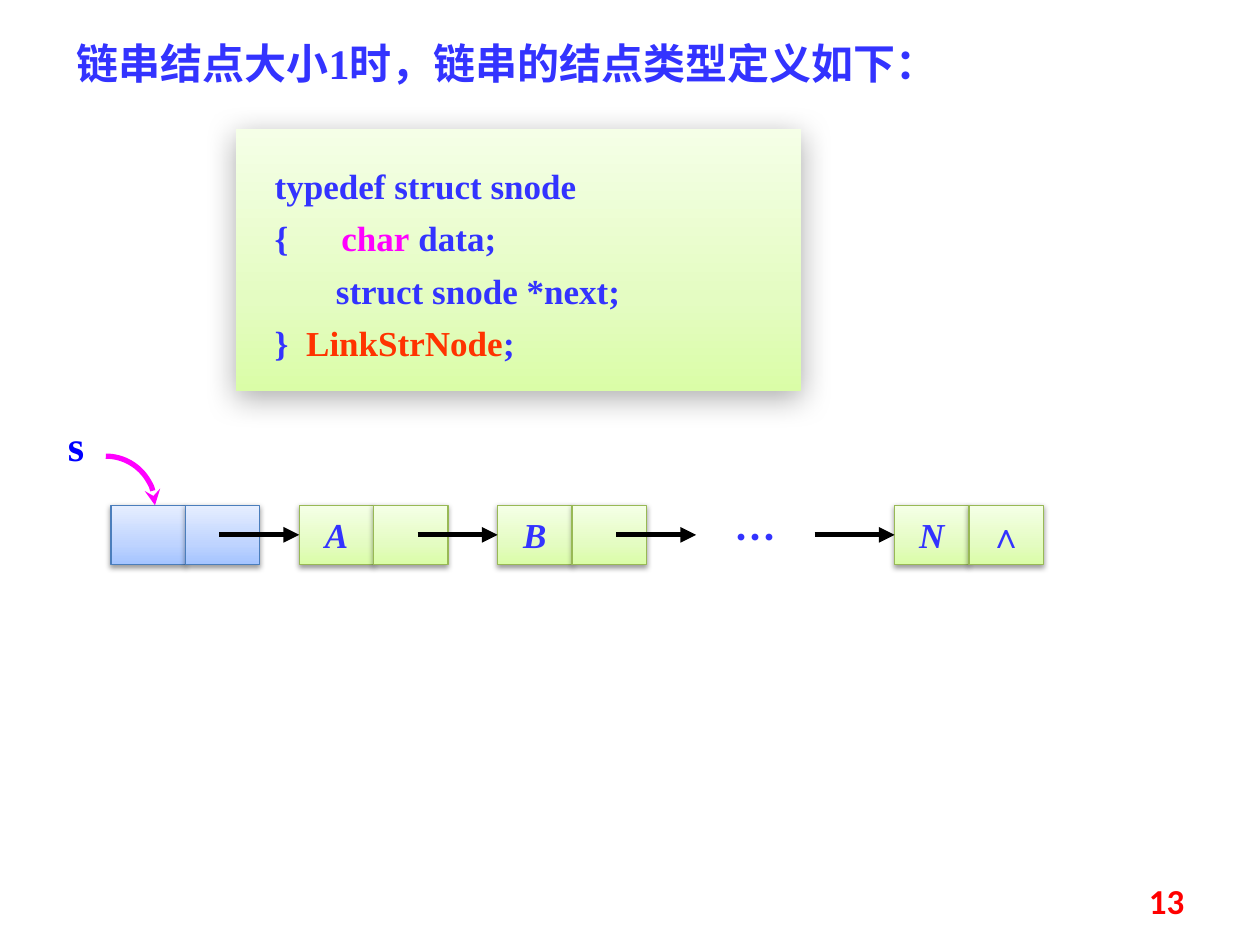
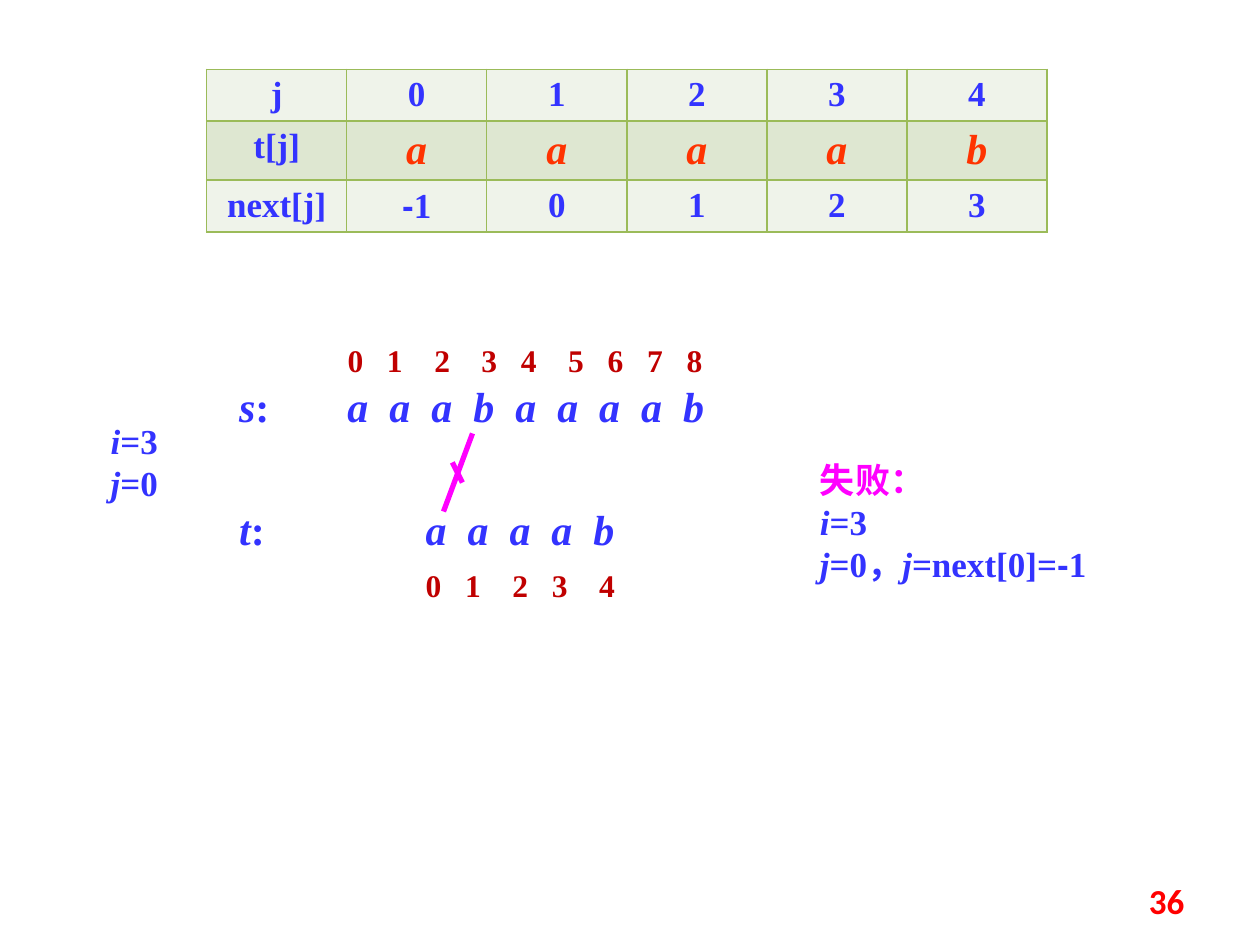
from copy import deepcopy
from itertools import accumulate

from lxml import etree
from pptx import Presentation
from pptx.dml.color import RGBColor
from pptx.enum.shapes import MSO_CONNECTOR, MSO_SHAPE
from pptx.enum.text import MSO_ANCHOR, MSO_AUTO_SIZE, PP_ALIGN
from pptx.oxml.ns import qn
from pptx.util import Inches, Pt

RECT, ARC = MSO_SHAPE.RECTANGLE, MSO_SHAPE.ARC
STRAIGHT = MSO_CONNECTOR.STRAIGHT
LEFT, MID, RIGHT = PP_ALIGN.LEFT, PP_ALIGN.CENTER, PP_ALIGN.RIGHT
FULL = PP_ALIGN.JUSTIFY
TOP, CENTER = MSO_ANCHOR.TOP, MSO_ANCHOR.MIDDLE
GROW, FIXED = MSO_AUTO_SIZE.SHAPE_TO_FIT_TEXT, MSO_AUTO_SIZE.NONE
LEFT_SIDE = 1


def look(color, size, face="Times New Roman", **more):
    """Format values for a run of bold text."""
    return dict(rgb=color, size=Pt(size), name=face, bold=True, **more)


class Theme:
    blue, pink, red = "3333FF", "FF00FF", "FF3300"
    black = "000000"
    han = "Noto Sans CJK SC"
    green = dict(stops=[(0, "DAFDA7"), (0.35, "E4FCC2"), (1, "F5FFE7")], edge="98B955")
    sky = dict(stops=[(0, "A4C4FF"), (0.35, "BFD4FF"), (1, "E6EEFF")], edge="4B7EBC")
    # opacity %, blur pt, distance pt, angle
    soft, wide = (38, 3.1, 1.6, 90), (33, 17.8, 4, 87)
    rule, bands = "9BBB59", ("EFF3EA", "DEE7D1")
    runs = {
        "title": look(blue, 24),
        "body": look(blue, 20),
        "var": look(blue, 20, italic=True),
        "type": look(pink, 20),
        "name": look(red, 20),
        "dash": look(blue, 20, "Arial"),
        "fail": look(pink, 20, han),
        "dots": look(blue, 24, han),
        "head": look("0000FF", 24),
        "char": look(blue, 24, italic=True),
        "hot": look(red, 24, italic=True),
        "index": look("C00000", 18),
        "page": look("FF0000", 20, "Calibri"),
    }


def sub(node, tag, **values):
    child = etree.SubElement(node, qn(tag))
    for key, value in values.items():
        child.set(key, str(value))
    return child


def apply(target, values):
    for key, value in values.items():
        setattr(target, key, value)


class Deck:
    """Draws on the current slide; one grid unit is a hundredth of its width."""

    def __init__(self, theme):
        self.theme = theme
        self.show = Presentation()
        self.show.slide_width, self.show.slide_height = Inches(10), Inches(7.5)
        self.unit = self.show.slide_width / 100

    def grid(self, *spans):
        return [round(span * self.unit) for span in spans]

    def page(self, number):
        self.shapes = self.show.slides.add_slide(self.show.slide_layouts[6]).shapes
        self.text((71.7, 69.5, 23.3, 4), [[(number, "page")]], align=RIGHT,
                  anchor=CENTER, fit=FIXED)

    def fill(self, para, runs, align=LEFT, tabs=(), spacing=None):
        apply(para, dict(alignment=align, line_spacing=spacing))
        if tabs:
            stops = sub(para._p.get_or_add_pPr(), "a:tabLst")
            for stop in self.grid(*tabs):
                sub(stops, "a:tab", pos=stop, algn="l")
        for words, style in runs:
            run = para.add_run()
            run.text = words
            values = dict(self.theme.runs[style])
            run.font.color.rgb = RGBColor.from_string(values.pop("rgb"))
            apply(run.font, values)
            sub(run._r.get_or_add_rPr(), "a:ea", typeface=self.theme.han)

    def label(self, shape, lines, anchor=TOP, fit=GROW, wrap=True, pads=(),
              stops=None, **form):
        frame = shape.text_frame
        apply(frame, dict(word_wrap=wrap, auto_size=fit, vertical_anchor=anchor))
        sides = ("margin_left", "margin_top", "margin_right", "margin_bottom")
        apply(frame, dict(zip(sides, self.grid(*pads))))
        for num, runs in enumerate(lines):
            para = frame.add_paragraph() if num else frame.paragraphs[0]
            self.fill(para, runs, tabs=(stops or {}).get(num, ()), **form)

    def text(self, box, lines, **form):
        self.label(self.shapes.add_textbox(*self.grid(*box)), lines, **form)

    def track(self, left, top, width, height, marks, style, steps):
        """A row of single characters set on tab stops."""
        self.text((left, top, width, height), [[("\t".join(marks), style)]],
                  stops={0: list(accumulate(steps))})

    def panel(self, box, paint, shade, edge=True):
        shape = self.shapes.add_shape(RECT, *self.grid(*box))
        # Gradient running upward
        shape.fill.gradient()
        shape.fill.gradient_angle = 90
        stops = shape.element.spPr.find(".//" + qn("a:gsLst"))
        stops.append(deepcopy(stops[0]))
        for stop, (place, color) in zip(shape.fill.gradient_stops, paint["stops"]):
            stop.position = place
            stop.color.rgb = RGBColor.from_string(color)
        if edge:
            self.stroke(shape, paint["edge"], 0.75)
        else:
            shape.line.fill.background()
        # Shadow
        shape.shadow.inherit = False
        alpha, blur, dist, angle = shade
        effect = shape.element.spPr.find(qn("a:effectLst"))
        drop = sub(effect, "a:outerShdw", blurRad=Pt(blur), dist=Pt(dist),
                   dir=angle * 60000, algn="ctr", rotWithShape=0)
        tint = sub(drop, "a:srgbClr", val=self.theme.black)
        sub(tint, "a:alpha", val=alpha * 1000)
        return shape

    def stroke(self, shape, color, width, tip=None):
        shape.line.color.rgb = RGBColor.from_string(color)
        shape.line.width = Pt(width)
        if tip:
            sub(shape.element.spPr.find(qn("a:ln")), "a:tailEnd", type=tip)

    def line(self, ends, color, tip=None, goal=None, home=None):
        link = (home or self.shapes).add_connector(STRAIGHT, *self.grid(*ends))
        if goal is not None:
            link.end_connect(goal, LEFT_SIDE)
        self.stroke(link, color, 3, tip)
        sub(link.element.spPr, "a:effectLst")

    def arc(self, box, color, tip):
        curve = self.shapes.add_shape(ARC, *self.grid(*box))
        curve.fill.background()
        curve.shadow.inherit = False
        self.stroke(curve, color, 3, tip)

    def table(self, box, rows):
        left, top, width, height = self.grid(*box)
        frame = self.shapes.add_table(len(rows), len(rows[0]), left, top, width, height)
        grid = frame.table
        apply(grid, dict(first_row=False, horz_banding=False))
        for r, row in enumerate(rows):
            for c, runs in enumerate(row):
                cell = grid.cell(r, c)
                self.fill(cell.text_frame.paragraphs[0], runs, align=MID)
                props = cell._tc.get_or_add_tcPr()
                for side in "LRTB":
                    edge = sub(props, "a:ln" + side, w=Pt(1))
                    sub(sub(edge, "a:solidFill"), "a:srgbClr", val=self.theme.rule)
                cell.fill.solid()
                cell.fill.fore_color.rgb = RGBColor.from_string(self.theme.bands[r % 2])


def linked(deck):
    """Node type and the linked string built from it."""
    theme = deck.theme
    deck.page("13")
    deck.text((5.1, 2.1, 89.2, 5.5), [[("链串结点大小1时，链串的结点类型定义如下：", "title")]],
              align=FULL, spacing=1.1)

    # Type definition
    code = [
        [("typedef struct snode", "body")],
        [("{\t", "body"), ("char", "type"), (" data;", "body")],
        [("       struct snode *next;", "body")],
        [("}\t", "body"), ("LinkStrNode", "name"), (";", "body")],
    ]
    card = deck.panel((18.7, 10.2, 44.9, 20.8), theme.green, theme.wide, edge=False)
    deck.label(card, code, pads=(3.1, 2, 1, 2), spacing=Pt(30), stops={1: [5.3], 3: [2.5]})

    # Nodes: two cells each, on an even pitch
    wide, tall, top = 5.9, 4.7, 40.1
    first, pitch, reach = 23.75, 15.75, 6.35

    def node(left, paint, *marks):
        cells = [deck.panel((left + k * wide, top, wide, tall), paint, theme.soft)
                 for k in range(2)]
        for cell, mark in zip(cells, marks):
            deck.label(cell, [[mark]], align=MID, anchor=CENTER, fit=FIXED, wrap=False)
        return cells[0]

    node(8.8, theme.sky)
    goals = {
        0: node(first, theme.green, ("A", "var")),
        1: node(first + pitch, theme.green, ("B", "var")),
        3: node(first + 3 * pitch, theme.green, ("N", "var"), ("∧", "body")),
    }
    deck.text((56.8, 40.1, 6.3, 5), [[("…", "dots")]], align=MID)

    # Pointers
    level = top + tall / 2
    for k in range(4):
        end = first + k * pitch
        deck.line((end - reach, level, end, level), theme.black, "triangle", goals.get(k))
    deck.arc((4.5, 36.2, 7.8, 7.8), theme.pink, "stealth")
    deck.text((4.4, 32.8, 4.7, 5), [[("s", "head")]])


def match(deck):
    """The next table and one failed comparison."""
    deck.page("36")
    minus = [("-", "dash"), ("1", "body")]

    # Table of next values
    rows = [
        [[(mark, "body")] for mark in ("j", *"01234")],
        [[("t[j]", "body")]] + [[(mark, "hot")] for mark in "aaaab"],
        [[("next[j]", "body")], minus] + [[(mark, "body")] for mark in "0123"],
    ]
    deck.table((16.4, 5.5, 66.7, 12.3), rows)

    # String s above, pattern t below
    near, far, step = 3.13, 3.75, 3.33
    for name, top in (("s", 29.7), ("t", 39.5)):
        deck.text((18, top, 7, 5), [[(name, "char"), (":", "title")]])
    deck.track(26.6, 29.7, 33.6, 5, "aaabaaaab", "char", [step] * 8)
    deck.track(26.6, 26.6, 32.8, 4, "012345678", "index",
               [near, far, far, near, far, near, near, near])
    deck.track(32.8, 39.5, 22.7, 5, "aaaab", "char", [step] * 4)
    deck.track(32.8, 44.4, 19.5, 4, "01234", "index", [near, far, near, far])

    # Struck-out link
    home = deck.shapes.add_group_shape().shapes
    for ends in ((37.5, 34.4, 35.2, 40.6), (35.9, 36.7, 36.7, 38.3)):
        deck.line(ends, deck.theme.pink, home=home)

    # State before and after
    state = [[("i", "var"), ("=3", "body")], [("j", "var"), ("=0", "body")]]
    deck.text((7.8, 32.8, 7.8, 7.7), state)
    after = state[1][:1] + [("=0，", "body"), ("j", "var"), ("=next[0]=", "body")] + minus
    deck.text((64.1, 35.9, 25, 11.1), [[("失败：", "fail")], state[0], after])


def main():
    deck = Deck(Theme)
    linked(deck)
    match(deck)
    deck.show.save("out.pptx")


if __name__ == "__main__":
    main()
